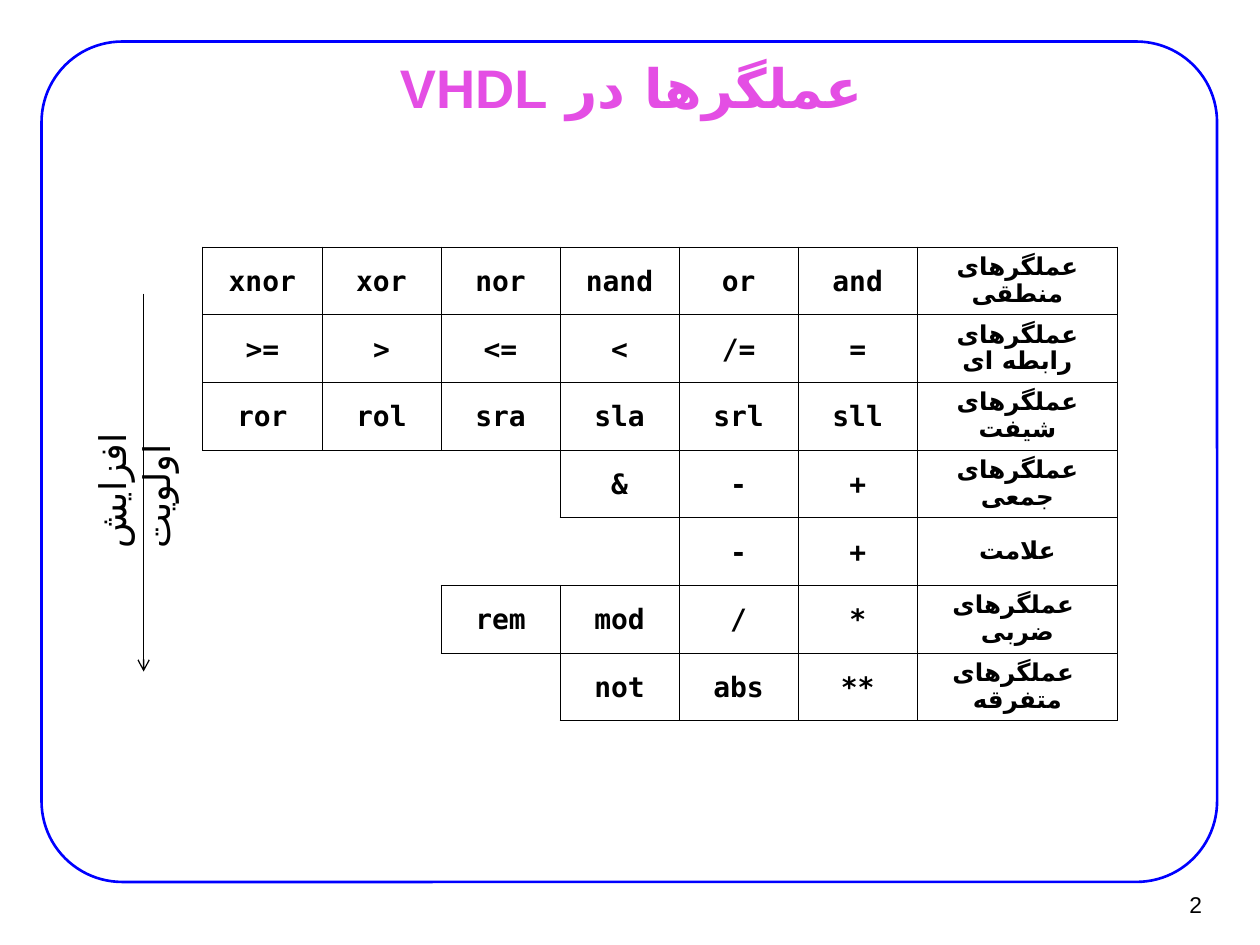
"""Build a slide on VHDL operators and their precedence."""
from dataclasses import dataclass

from lxml import etree
from pptx import Presentation
from pptx.dml.color import RGBColor
from pptx.enum.shapes import MSO_CONNECTOR, MSO_SHAPE
from pptx.enum.text import MSO_ANCHOR, MSO_AUTO_SIZE, PP_ALIGN
from pptx.oxml.ns import qn
from pptx.util import Inches, Pt

LEFT, CENTER, RIGHT = PP_ALIGN.LEFT, PP_ALIGN.CENTER, PP_ALIGN.RIGHT
TOP, MIDDLE = MSO_ANCHOR.TOP, MSO_ANCHOR.MIDDLE
NO_FIT, GROW = MSO_AUTO_SIZE.NONE, MSO_AUTO_SIZE.SHAPE_TO_FIT_TEXT
ROUNDED, STRAIGHT = MSO_SHAPE.ROUNDED_RECTANGLE, MSO_CONNECTOR.STRAIGHT
TITLE_ONLY = 5


@dataclass(frozen=True)
class Theme:
    """Colours, fonts, type sizes and line widths of the slide."""
    title: str = "E44EE4"
    frame: str = "0000FF"
    ink: str = "000000"
    heading_font: str = "Arial"
    code_font: str = "DejaVu Sans Mono"
    label_font: str = "Calibri"
    note_font: str = "Times New Roman"
    persian_font: str = "DejaVu Sans"
    title_size: int = 31
    note_size: int = 21
    code_size: int = 16
    label_size: int = 14
    number_size: int = 13
    code_spacing: float = 1.07
    label_spacing: float = 0.93
    frame_width: float = 1.5
    arrow_width: float = 0.75
    grid_width: float = 0.45


THEME = Theme()
CODE_WIDTH, LABEL_WIDTH = 0.945, 1.59
TABLE_LEFT, TABLE_TOP, TABLE_HEIGHT = 1.61, 1.96, 3.76
OPERATORS = [
    ("عملگرهای منطقی", ["and", "or", "nand", "nor", "xor", "xnor"]),
    ("عملگرهای رابطه ای", ["=", "/=", "<", "<=", ">", ">="]),
    ("عملگرهای شیفت", ["sll", "srl", "sla", "sra", "rol", "ror"]),
    ("عملگرهای جمعی", ["+", "-", "&"]),
    ("علامت", ["+", "-"]),
    (" عملگرهای ضربی", ["*", "/", "mod", "rem"]),
    (" عملگرهای متفرقه", ["**", "abs", "not"]),
]


def write(frame, text, *, font, size, color=THEME.ink, bold=False, align=LEFT,
          rtl=False, spacing=None):
    """Write one formatted paragraph into a text frame."""
    para = frame.paragraphs[0]
    para.alignment = align
    if rtl:
        para._p.get_or_add_pPr().set("rtl", "1")
    if spacing:
        para.line_spacing = spacing
    span = para.add_run()
    span.text = text
    span.font.name, span.font.size, span.font.bold = font, Pt(size), bold
    span.font.color.rgb = RGBColor.from_string(color)
    etree.SubElement(span.font._element, qn("a:cs"),
                     typeface=THEME.persian_font)


def set_frame(frame, margins, anchor, wrap=True, fit=NO_FIT):
    """Set the insets, anchor, wrapping and fitting of a text frame."""
    across, down = map(Inches, margins)
    frame.margin_left = frame.margin_right = across
    frame.margin_top = frame.margin_bottom = down
    frame.vertical_anchor = anchor
    frame.word_wrap = wrap
    frame.auto_size = fit


def add_frame(page):
    """Draw the rounded border of the page."""
    border = page.shapes.add_shape(
        ROUNDED, *map(Inches, (0.33, 0.33, 9.33, 6.67)))
    border.adjustments[0] = 0.096
    border.shadow.inherit = False
    border.fill.background()
    border.line.color.rgb = RGBColor.from_string(THEME.frame)
    border.line.width = Pt(THEME.frame_width)


def set_title(page, text):
    """Place and fill the title placeholder."""
    title = page.shapes.title
    title.left, title.top, title.width, title.height = map(
        Inches, (0.76, 0.44, 8.5, 0.49))
    set_frame(title.text_frame, (0.11, 0.06), MIDDLE)
    write(title.text_frame, text, font=THEME.heading_font,
          size=THEME.title_size, color=THEME.title, bold=True, align=CENTER,
          rtl=True)


def add_text(page, text, place, margins, anchor=TOP, wrap=True, fit=NO_FIT,
             rotation=0, **style):
    """Add a text box holding one paragraph."""
    box = page.shapes.add_textbox(*map(Inches, place))
    box.rotation = rotation
    set_frame(box.text_frame, margins, anchor, wrap, fit)
    write(box.text_frame, text, **style)


def add_arrow(page, start, end):
    """Add a straight line with an open arrowhead at its end."""
    arrow = page.shapes.add_connector(STRAIGHT, *map(Inches, (*start, *end)))
    arrow.line.color.rgb = RGBColor.from_string(THEME.ink)
    arrow.line.width = Pt(THEME.arrow_width)
    properties = arrow._element.spPr
    etree.SubElement(properties.find(qn("a:ln")), qn("a:tailEnd"), type="arrow")
    etree.SubElement(properties, qn("a:effectLst"))


def set_borders(cell, drawn):
    """Draw or hide each border of a cell."""
    properties = cell._tc.get_or_add_tcPr()
    for side, visible in drawn.items():
        line = etree.SubElement(properties, qn(f"a:ln{side}"),
                                w=str(Pt(THEME.grid_width)))
        fill = etree.SubElement(
            line, qn("a:solidFill" if visible else "a:noFill"))
        if visible:
            etree.SubElement(fill, qn("a:srgbClr"), val=THEME.ink)


def add_operator_table(page):
    """Add the operator table, filled from the right-hand label column."""
    label_column = max(len(codes) for _, codes in OPERATORS)
    widths = [CODE_WIDTH] * label_column + [LABEL_WIDTH]
    grid = [[""] * (label_column - len(codes)) + codes[::-1] + [label]
            for label, codes in OPERATORS]
    filled = {(row, column) for row, texts in enumerate(grid)
              for column, text in enumerate(texts) if text}
    code_style = dict(font=THEME.code_font, size=THEME.code_size,
                      spacing=THEME.code_spacing)
    label_style = dict(font=THEME.label_font, size=THEME.label_size,
                       spacing=THEME.label_spacing, rtl=True)
    shape = page.shapes.add_table(
        len(grid), len(widths),
        *map(Inches, (TABLE_LEFT, TABLE_TOP, sum(widths), TABLE_HEIGHT)))
    table = shape.table
    table.first_row = table.horz_banding = False
    for column, width in zip(table.columns, widths):
        column.width = Inches(width)
    for row, texts in enumerate(grid):
        table.rows[row].height = Inches(TABLE_HEIGHT / len(grid))
        for column, text in enumerate(texts):
            cell = table.cell(row, column)
            neighbours = {"L": (row, column - 1), "R": (row, column + 1),
                          "T": (row - 1, column), "B": (row + 1, column)}
            set_borders(cell, {side: bool(text) or place in filled
                               for side, place in neighbours.items()})
            cell.fill.background()
            cell.vertical_anchor = MIDDLE
            cell.margin_left = cell.margin_right = Inches(0.07)
            if text:
                style = label_style if column == label_column else code_style
                write(cell.text_frame, text, bold=True, align=CENTER, **style)


def main():
    """Build and save the deck."""
    deck = Presentation()
    deck.slide_width, deck.slide_height = Inches(10), Inches(7.5)
    page = deck.slides.add_slide(deck.slide_layouts[TITLE_ONLY])
    add_frame(page)
    set_title(page, "عملگرها در VHDL")
    add_operator_table(page)
    add_text(page, "2", (9.02, 6.99, 0.61, 0.37), (0.09, 0.04), anchor=MIDDLE,
             wrap=False, font=THEME.heading_font, size=THEME.number_size,
             align=RIGHT)
    add_arrow(page, (1.14, 2.33), (1.14, 5.33))
    add_text(page, "افزایش اولویت", (0.2, 3.19, 1.73, 0.8), (0.1, 0.05),
             fit=GROW, rotation=270, font=THEME.note_font,
             size=THEME.note_size)
    deck.save("out.pptx")


if __name__ == "__main__":
    main()
